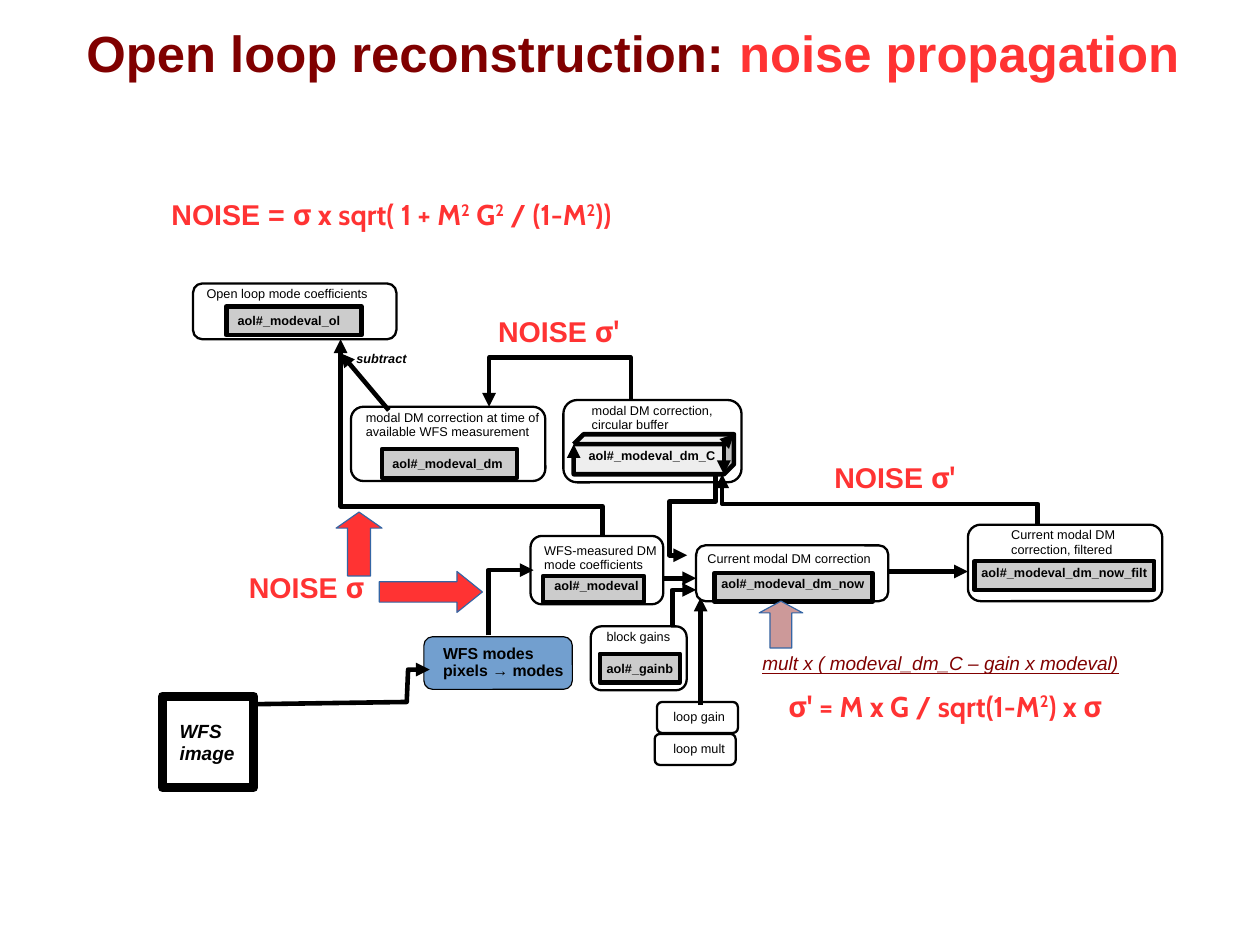
from lxml import etree
from pptx import Presentation
from pptx.dml.color import RGBColor
from pptx.enum.shapes import MSO_CONNECTOR, MSO_SHAPE
from pptx.enum.text import MSO_ANCHOR, MSO_AUTO_SIZE, PP_ALIGN
from pptx.oxml.ns import qn
from pptx.util import Cm, Pt

RECT = MSO_SHAPE.RECTANGLE
ROUND = MSO_SHAPE.ROUNDED_RECTANGLE
CUBE = MSO_SHAPE.CUBE
RIGHT = MSO_SHAPE.RIGHT_ARROW
UP = MSO_SHAPE.UP_ARROW
STRAIGHT = MSO_CONNECTOR.STRAIGHT
TOP, MIDDLE = MSO_ANCHOR.TOP, MSO_ANCHOR.MIDDLE
LEFT, CENTER = PP_ALIGN.LEFT, PP_ALIGN.CENTER
NO_AUTOFIT = MSO_AUTO_SIZE.NONE

COLORS = {"black": "000000", "white": "FFFFFF", "maroon": "800000", "red": "FF3333",
          "pink": "CC9999", "blue": "729FCF", "edge": "3465A4", "grey": "CCCCCC",
          "light": "EEEEEE"}
WIRE = 2.89


def rgb(name):
    return RGBColor.from_string(COLORS[name])


def add_run(p, text, size, color="black", font="Arial", bold=False, italic=False,
            underline=False, raised=False):
    r = p.add_run()
    r.text = text
    f = r.font
    f.size, f.name, f.bold, f.italic = Pt(size), font, bold, italic
    f.color.rgb = rgb(color)
    if underline:
        f.underline = True
    if raised:
        f._element.set("baseline", "33000")


def write(tf, paragraphs, pad, align=LEFT, anchor=TOP):
    """Fill a text frame; each paragraph is a list of (text, format) runs."""
    tf.word_wrap = True
    tf.auto_size = NO_AUTOFIT
    tf.vertical_anchor = anchor
    tf.margin_left, tf.margin_top = Cm(pad[0]), Cm(pad[1])
    tf.margin_right = tf.margin_bottom = 0
    for i, runs in enumerate(paragraphs):
        p = tf.add_paragraph() if i else tf.paragraphs[0]
        p.alignment = align
        p.line_spacing = 0.94
        for text, style in runs:
            add_run(p, text, **style)


def add_arrowhead(sp):
    ln = sp.element.spPr.find(qn("a:ln"))
    etree.SubElement(ln, qn("a:tailEnd"), type="triangle")


def add_block(s, kind, box, fill, width, line="black"):
    sp = s.shapes.add_shape(kind, *map(Cm, box))
    sp.shadow.inherit = False
    if fill:
        sp.fill.solid()
        sp.fill.fore_color.rgb = rgb(fill)
    else:
        sp.fill.background()
    sp.line.color.rgb = rgb(line)
    sp.line.width = Pt(width)
    return sp


def add_labelled(s, kind, box, fill, width, lines, pad, **style):
    sp = add_block(s, kind, box, fill, width)
    write(sp.text_frame, [[(line, style)] for line in lines], pad)
    return sp


def add_stream(s, box, label, pad, tag, tag_box, tag_pad, kind=RECT):
    """Rounded box with a caption and the stream name in an inner box."""
    x, y = box[:2]
    dx, dy, w, h = tag_box
    add_labelled(s, ROUND, box, "white", 1.45, [label], pad, size=8)
    inner = add_labelled(s, kind, (x + dx, y + dy, w, h),
                         "light" if kind == CUBE else "grey", WIRE, [tag], tag_pad,
                         size=8, bold=True)
    if kind == CUBE:
        add_arrowhead(inner)


def add_wire(s, points):
    """Arrow through the points: a connector if straight, else a bent outline."""
    pts = [(Cm(x), Cm(y)) for x, y in points]
    if len(pts) == 2:
        wire = s.shapes.add_connector(STRAIGHT, *pts[0], *pts[1])
    else:
        fb = s.shapes.build_freeform(*pts[0])
        fb.add_line_segments(pts[1:], close=False)
        wire = fb.convert_to_shape()
        wire.fill.background()
    wire.line.color.rgb = rgb("black")
    wire.line.width = Pt(WIRE)
    add_arrowhead(wire)
    etree.SubElement(wire.element.spPr, qn("a:effectLst"))


def add_note(s, box, runs):
    tb = s.shapes.add_textbox(*map(Cm, box))
    write(tb.text_frame, [runs], (0.25, 0.13))


def add_title(s, box):
    title = s.shapes.title
    title.left, title.top, title.width, title.height = map(Cm, box)
    head = dict(size=32, bold=True)
    write(title.text_frame, [[("Open loop reconstruction: ", dict(head, color="maroon")),
                              ("noise propagation", dict(head, color="red"))]],
          (0, 0), CENTER, MIDDLE)


def add_streams(s):
    streams = [
        ((4.29, 6.3, 4.52, 1.24), "Open loop mode coefficients", (0.24, 0.02),
         "aol#_modeval_ol", (0.74, 0.51, 3, 0.64), (0.25, 0.18)),
        ((7.8, 9.04, 4.32, 1.65), "modal DM correction at time of available WFS measurement",
         (0.25, 0.02), "aol#_modeval_dm", (0.69, 0.94, 3, 0.64), (0.23, 0.18)),
        ((12.52, 8.89, 3.96, 1.83), "modal DM correction, circular buffer", (0.54, 0),
         "aol#_modeval_dm_C", (0.23, 0.76, 3.56, 0.89), (0.33, 0.1), CUBE),
        ((11.79, 11.91, 2.95, 1.52), "WFS-measured DM mode coefficients", (0.23, 0.11),
         "aol#_modeval", (0.28, 0.89, 2.24, 0.58), (0.25, 0.08)),
        ((15.47, 12.12, 4.27, 1.24), "Current modal DM correction", (0.19, 0.09),
         "aol#_modeval_dm_now", (0.41, 0.61, 3.51, 0.64), (0.15, 0.1)),
        ((21.51, 11.66, 4.32, 1.7), "Current modal DM correction, filtered", (0.88, 0),
         "aol#_modeval_dm_now_filt", (0.15, 0.81, 3.99, 0.64), (0.15, 0.1)),
        ((13.13, 13.92, 2.13, 1.42), "block gains", (0.28, 0.01),
         "aol#_gainb", (0.2, 0.61, 1.78, 0.64), (0.15, 0.18)),
    ]
    for stream in streams:
        add_stream(s, *stream)


def add_inputs(s):
    add_labelled(s, RECT, (3.61, 15.47, 2.03, 2.03), None, 5.75, ["WFS image"],
                 (0.38, 0.56), size=12, bold=True, italic=True)
    add_labelled(s, ROUND, (9.42, 14.15, 3.3, 1.17), "blue", 0.75,
                 ["WFS modes", "pixels → modes"], (0.37, 0.12), size=10, bold=True)
    for x, y, name, pad in [(14.6, 15.6, "loop gain", 0.33), (14.55, 16.31, "loop mult", 0.38)]:
        add_labelled(s, ROUND, (x, y, 1.8, 0.69), None, 1.45, [name], (pad, 0.15), size=8)


def add_wires(s):
    wires = [
        [(5.64, 15.65), (9.04, 15.6), (9.07, 14.88), (9.55, 14.88)],
        [(10.85, 14.12), (10.85, 12.67), (11.86, 12.67)],
        [(14.94, 13.92), (14.94, 13.11), (15.47, 13.11)],
        [(14.73, 12.85), (15.47, 12.85)],
        [(23.06, 11.66), (23.06, 11.2), (16.05, 11.2), (16.05, 10.54)],
        [(15.57, 15.67), (15.57, 13.28)],
        [(15.9, 10.54), (15.9, 11.15), (14.88, 11.15), (14.88, 12.34), (15.27, 12.34)],
        [(14.02, 8.86), (14.02, 7.95), (10.87, 7.95), (10.87, 9.04)],
        [(13.39, 11.91), (13.39, 11.25), (7.57, 11.25), (7.57, 7.54)],
        [(8.64, 9.12), (7.57, 7.85)],
        [(19.74, 12.7), (21.51, 12.7)],
    ]
    for points in wires:
        add_wire(s, points)


def add_noise_arrows(s):
    arrows = [(RIGHT, (8.43, 12.7, 2.29, 0.91), "red", 0.62),
              (UP, (16.87, 13.36, 0.97, 1.04), "pink", 0.27),
              (UP, (7.47, 11.38, 1.02, 1.42), "red", 0.35)]
    for kind, box, fill, head in arrows:
        sp = add_block(s, kind, box, fill, 0.75, "edge")
        sp.adjustments[1] = head


def add_notes(s):
    noise = dict(size=18, color="red", bold=True)
    math = dict(noise, font="Cabin")
    square = ("2", dict(math, raised=True))
    for x, y, symbol in [(5.28, 12.6, "σ"), (10.82, 6.91, "σ'"), (18.29, 10.16, "σ'")]:
        add_note(s, (x, y, 3.4, 1.02), [("NOISE ", noise), (symbol, math)])
    add_note(s, (7.67, 7.7, 1.8, 0.6), [("subtract", dict(size=8, bold=True, italic=True))])
    add_note(s, (16.69, 14.4, 8.5, 0.76),
             [("mult x ( modeval_dm_C – gain x modeval)",
               dict(size=12, color="maroon", italic=True, underline=True))])
    add_note(s, (17.27, 15.24, 8.3, 1.02),
             [("σ' = M x G / sqrt(1-M", math), square, (") x σ", math)])
    add_note(s, (3.56, 4.32, 11.3, 1.02),
             [("NOISE = ", noise), ("σ x sqrt( 1 + M", math), square, (" G", math), square,
              (" / (1-M", math), square, ("))", math)])


def main():
    prs = Presentation()
    prs.slide_width, prs.slide_height = Cm(28), Cm(21)
    s = prs.slides.add_slide(prs.slide_layouts[5])
    add_title(s, (1.52, 0.51, 25.1, 1.45))
    add_streams(s)
    add_inputs(s)
    add_wires(s)
    add_noise_arrows(s)
    add_notes(s)
    prs.save("out.pptx")


if __name__ == "__main__":
    main()
